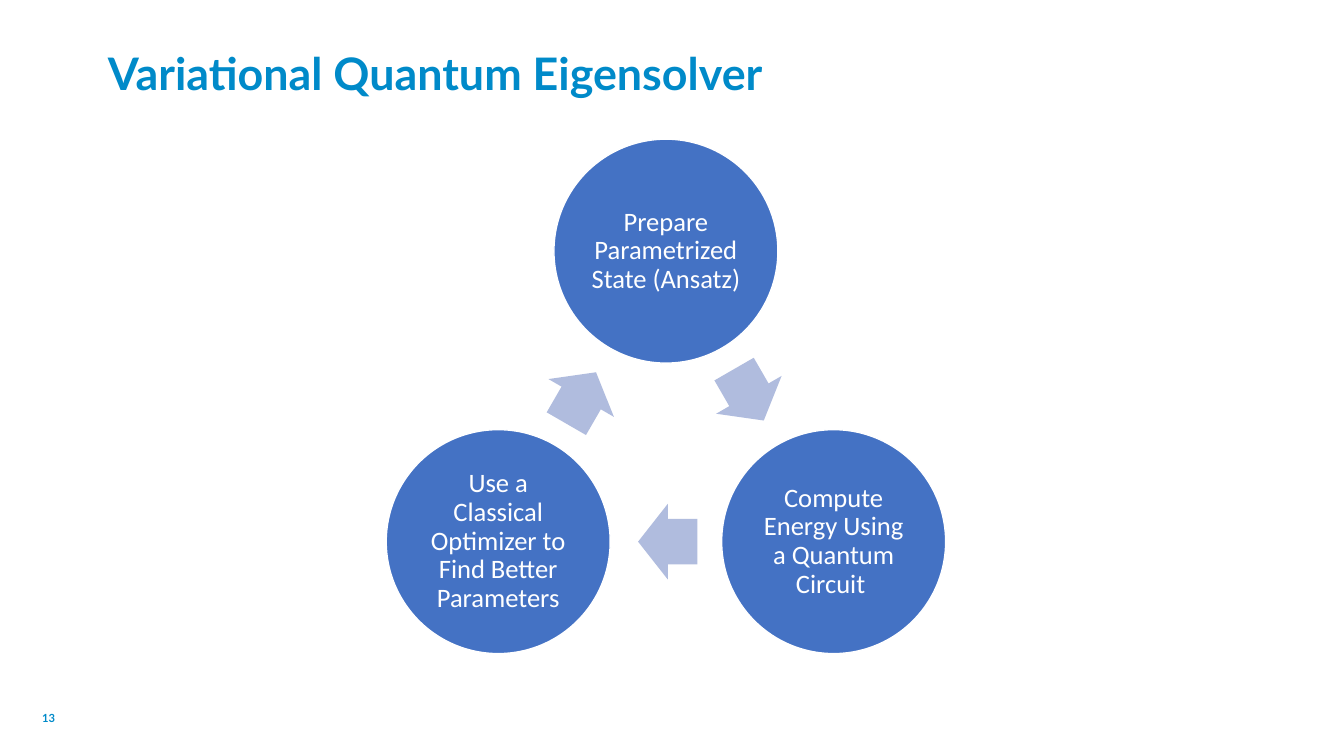
from math import atan2, cos, degrees, pi, sin

from pptx import Presentation
from pptx.dml.color import RGBColor
from pptx.enum.shapes import MSO_SHAPE
from pptx.enum.text import MSO_ANCHOR, PP_ALIGN
from pptx.util import Pt

BRAND_BLUE = "008AC9"
CIRCLE_BLUE = "4472C4"
ARROW_BLUE = "B0BCDE"
WHITE = "FFFFFF"

STEPS = [
    "Prepare Parametrized State (Ansatz)",
    "Compute Energy Using a Quantum Circuit ",
    "Use a Classical Optimizer to Find Better Parameters",
]
CIRCLE_DIAMETER = 160
ARROW_LENGTH, ARROW_WIDTH = 42.4, 54
ARROW_SETBACK = 1.3


def color(hex_string):
    return RGBColor.from_string(hex_string)


def write(shape, text, font_name, size, hex_string, bold=False):
    """Put one vertically centred paragraph in the shape and return it."""
    frame = shape.text_frame
    frame.word_wrap = True
    frame.vertical_anchor = MSO_ANCHOR.MIDDLE
    frame.text = text
    paragraph = frame.paragraphs[0]
    font = paragraph.runs[0].font
    font.name, font.size, font.bold = font_name, Pt(size), bold
    font.color.rgb = color(hex_string)
    return paragraph


def add_label(slide, box, text, size):
    label = slide.shapes.add_textbox(*map(Pt, box))
    return write(label, text, "Lato", size, BRAND_BLUE, bold=True)


def add_centred_shape(slide, preset, center, width, height, fill):
    x, y = center
    shape = slide.shapes.add_shape(
        preset, Pt(x - width / 2), Pt(y - height / 2), Pt(width), Pt(height))
    shape.shadow.inherit = False
    shape.fill.solid()
    shape.fill.fore_color.rgb = color(fill)
    return shape


def add_step(slide, center, text):
    circle = add_centred_shape(slide, MSO_SHAPE.OVAL, center,
                               CIRCLE_DIAMETER, CIRCLE_DIAMETER, CIRCLE_BLUE)
    circle.line.color.rgb = color(WHITE)
    circle.line.width = Pt(1)
    frame = circle.text_frame
    frame.margin_left = frame.margin_right = Pt(2)
    frame.margin_top = frame.margin_bottom = Pt(2)
    paragraph = write(circle, text, "Calibri", 19, WHITE)
    paragraph.alignment = PP_ALIGN.CENTER
    paragraph.line_spacing = 0.9


def add_arrow(slide, start, end):
    """Place a block arrow just before the midpoint between two circles."""
    angle = atan2(end[1] - start[1], end[0] - start[0])
    center = ((start[0] + end[0]) / 2 - ARROW_SETBACK * cos(angle),
              (start[1] + end[1]) / 2 - ARROW_SETBACK * sin(angle))
    arrow = add_centred_shape(slide, MSO_SHAPE.RIGHT_ARROW, center,
                              ARROW_LENGTH, ARROW_WIDTH, ARROW_BLUE)
    arrow.line.fill.background()
    arrow.adjustments[0] = 0.6
    arrow.adjustments[1] = 0.5
    arrow.rotation = round(degrees(angle)) % 360


def add_cycle(slide, box, steps):
    """Space the steps evenly, clockwise from the top centre of the box."""
    left, top, width, height = box
    radius = (height - CIRCLE_DIAMETER) / (1 + cos(pi / len(steps)))
    middle_x = left + width / 2
    middle_y = top + CIRCLE_DIAMETER / 2 + radius
    turns = [2 * pi * index / len(steps) for index in range(len(steps))]
    centers = [(middle_x + radius * sin(turn), middle_y - radius * cos(turn))
               for turn in turns]
    for index, text in enumerate(steps):
        add_step(slide, centers[index], text)
        add_arrow(slide, centers[index], centers[(index + 1) % len(steps)])


def main():
    presentation = Presentation()
    presentation.slide_width, presentation.slide_height = Pt(960), Pt(540)
    slide = presentation.slides.add_slide(presentation.slide_layouts[6])
    title = add_label(slide, (70, 18.7, 811, 71.3),
                      "Variational Quantum Eigensolver", 32)
    title.line_spacing = 0.9
    add_label(slide, (23, 502.6, 35.3, 20.9), "13", 8)
    add_cycle(slide, (275.7, 99.4, 400, 367.5), STEPS)
    presentation.save("out.pptx")


if __name__ == "__main__":
    main()
